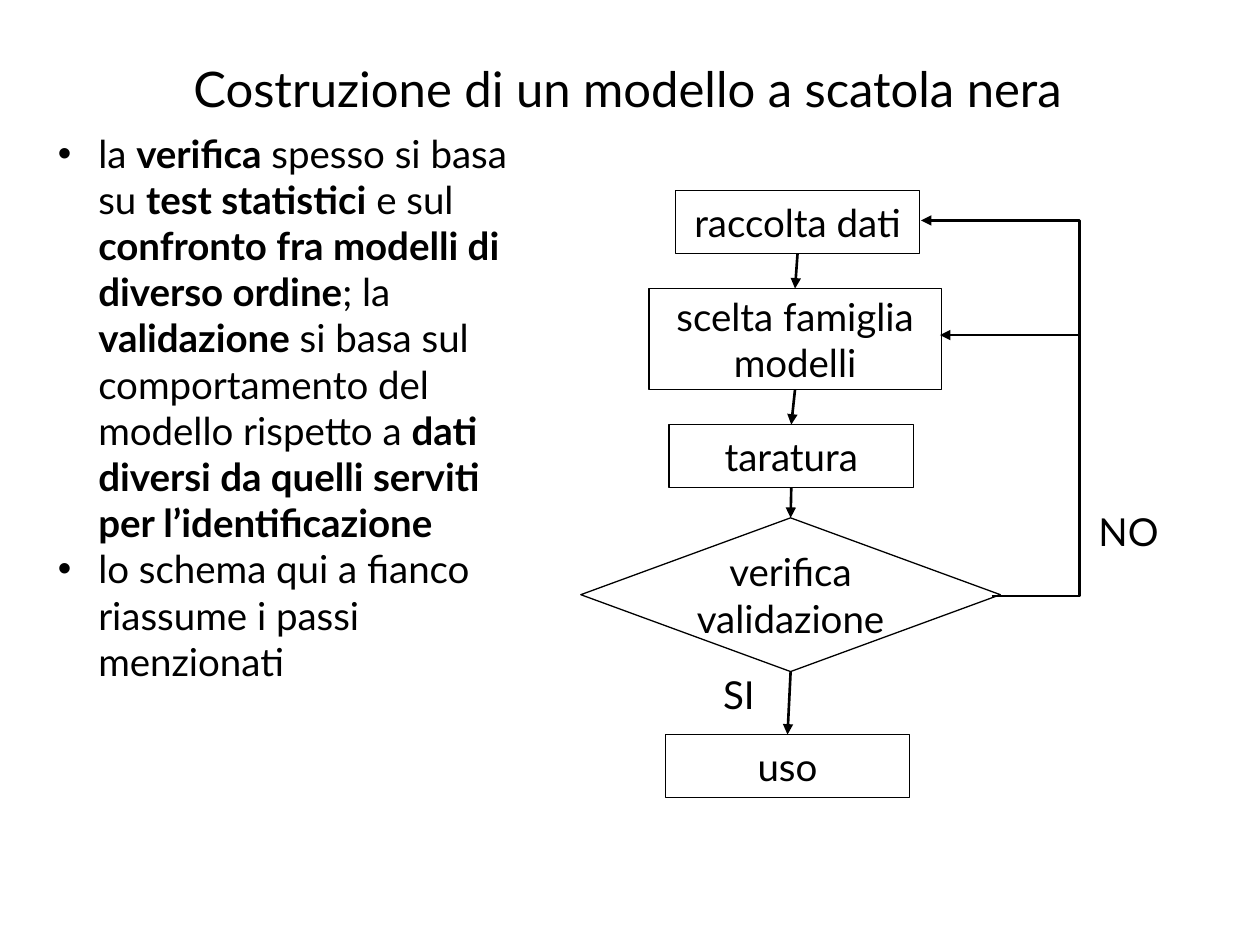
from dataclasses import dataclass

from lxml.etree import SubElement
from pptx import Presentation
from pptx.dml.color import RGBColor
from pptx.enum.shapes import MSO_CONNECTOR, MSO_SHAPE
from pptx.enum.text import MSO_ANCHOR, MSO_AUTO_SIZE, PP_ALIGN
from pptx.oxml.ns import qn
from pptx.util import Emu, Inches, Pt

# Grid of 100 columns by 75 rows
CELL = Inches(0.1)
COLORS = {"ink": "000000", "paper": "FFFFFF"}
FONT = {"name": "Lato", "size": Pt(22)}
TITLE_FONT = {**FONT, "size": Pt(28)}
BOX_WIDTH, BOX_HEIGHT = 19.4, 5
RETURN_COLUMN = 85.7
TOP, BOTTOM = 0, 2


@dataclass(frozen=True)
class Area:
    left: float
    top: float
    width: float
    height: float

    def lengths(self) -> tuple:
        return tuple(cells(value) for value in (self.left, self.top, self.width, self.height))


@dataclass(frozen=True)
class Step:
    lines: tuple
    area: Area
    kind: MSO_SHAPE = MSO_SHAPE.FLOWCHART_PROCESS


@dataclass(frozen=True)
class Label:
    text: str
    area: Area


TITLE = "Costruzione di un modello a scatola nera"
TITLE_AREA = Area(8.9, 4.1, 81.8, 5.7)
BODY_AREA = Area(3.6, 9.8, 39.8, 48.7)
# Runs alternate between regular and bold
BULLETS = (
    ("la ", "verifica", " spesso si basa su ", "test statistici", " e sul ",
     "confronto fra modelli di diverso ordine", "; la ", "validazione",
     " si basa sul comportamento del modello rispetto a ",
     "dati diversi da quelli serviti per l’identificazione"),
    ("lo schema qui a fianco riassume i passi menzionati",),
)
STEPS = (
    Step(("raccolta dati",), Area(53.6, 15.1, BOX_WIDTH, BOX_HEIGHT)),
    Step(("scelta famiglia", "modelli"), Area(51.5, 22.9, 23.2, 8)),
    Step(("taratura",), Area(53.1, 33.7, BOX_WIDTH, BOX_HEIGHT)),
    Step(("verifica", "validazione"), Area(46.1, 41.1, 33.3, 12.2),
         MSO_SHAPE.FLOWCHART_DECISION),
    Step(("uso",), Area(52.8, 58.3, BOX_WIDTH, BOX_HEIGHT)),
)
LABELS = (
    Label("SI", Area(56.4, 52.8, 5.6, 4.7)),
    Label("NO", Area(86.2, 39.8, 7.7, 4.7)),
)
RETURN_PATHS = (
    ((78.7, 47.3), (RETURN_COLUMN, 47.3), (RETURN_COLUMN, 26.6), (74.6, 26.6)),
    ((RETURN_COLUMN, 26.8), (RETURN_COLUMN, 17.5), (73.1, 17.5)),
)


def cells(count: float) -> Emu:
    return Emu(round(count * CELL))


def color(name: str) -> RGBColor:
    return RGBColor.from_string(COLORS[name])


def format_font(font, values: dict) -> None:
    for attribute, value in values.items():
        setattr(font, attribute, value)
    font.color.rgb = color("ink")


def place(shape, area: Area) -> None:
    for attribute, value in zip(("left", "top", "width", "height"), area.lengths()):
        setattr(shape, attribute, value)


def draw_outline(line, width: float) -> None:
    line.color.rgb = color("ink")
    line.width = Pt(width)


def add_arrowhead(shape) -> None:
    SubElement(shape.line._get_or_add_ln(), qn("a:tailEnd"), type="triangle")


def fill_title(title) -> None:
    place(title, TITLE_AREA)
    title.text_frame.text = TITLE
    title.text_frame.auto_size = MSO_AUTO_SIZE.NONE
    paragraph = title.text_frame.paragraphs[0]
    paragraph.alignment = PP_ALIGN.CENTER
    format_font(paragraph.runs[0].font, TITLE_FONT)


def fill_bullets(body) -> None:
    place(body, BODY_AREA)
    frame = body.text_frame
    frame.auto_size = MSO_AUTO_SIZE.NONE
    for index, texts in enumerate(BULLETS):
        paragraph = frame.add_paragraph() if index else frame.paragraphs[0]
        properties = paragraph._p.get_or_add_pPr()
        properties.set("marL", str(cells(3.2)))
        properties.set("indent", str(cells(-3.2)))
        paragraph.space_before = Pt(0)
        format_font(paragraph.font, FONT)
        for position, text in enumerate(texts):
            run = paragraph.add_run()
            run.text = text
            format_font(run.font, {**FONT, "bold": position % 2 == 1})


def add_step(slide, step: Step):
    shape = slide.shapes.add_shape(step.kind, *step.area.lengths())
    shape.shadow.inherit = False
    shape.fill.solid()
    shape.fill.fore_color.rgb = color("paper")
    draw_outline(shape.line, 0.75)
    frame = shape.text_frame
    frame.word_wrap = False
    frame.vertical_anchor = MSO_ANCHOR.MIDDLE
    paragraph = frame.paragraphs[0]
    paragraph.alignment = PP_ALIGN.CENTER
    for index, text in enumerate(step.lines):
        if index:
            paragraph.add_line_break()
        run = paragraph.add_run()
        run.text = text
        format_font(run.font, FONT)
    return shape


def add_arrow(slide, source, target) -> None:
    connector = slide.shapes.add_connector(MSO_CONNECTOR.STRAIGHT, 0, 0, 0, 0)
    connector.begin_connect(source, BOTTOM)
    connector.end_connect(target, TOP)
    draw_outline(connector.line, 1.5)
    add_arrowhead(connector)
    SubElement(connector._element.spPr, qn("a:effectLst"))


def add_return_path(slide, points: tuple) -> None:
    start, *others = [(cells(column), cells(row)) for column, row in points]
    builder = slide.shapes.build_freeform(*start)
    builder.add_line_segments(others, close=False)
    shape = builder.convert_to_shape()
    shape.shadow.inherit = False
    shape.fill.background()
    draw_outline(shape.line, 1.5)
    add_arrowhead(shape)


def add_label(slide, label: Label) -> None:
    frame = slide.shapes.add_textbox(*label.area.lengths()).text_frame
    frame.word_wrap = True
    frame.text = label.text
    format_font(frame.paragraphs[0].runs[0].font, FONT)


def main() -> None:
    presentation = Presentation()
    presentation.slide_width, presentation.slide_height = cells(100), cells(75)
    slide = presentation.slides.add_slide(presentation.slide_layouts[1])
    fill_title(slide.shapes.title)
    fill_bullets(slide.placeholders[1])
    shapes = [add_step(slide, step) for step in STEPS]
    for source, target in zip(shapes, shapes[1:]):
        add_arrow(slide, source, target)
    for points in RETURN_PATHS:
        add_return_path(slide, points)
    for label in LABELS:
        add_label(slide, label)
    presentation.save("out.pptx")


if __name__ == "__main__":
    main()
